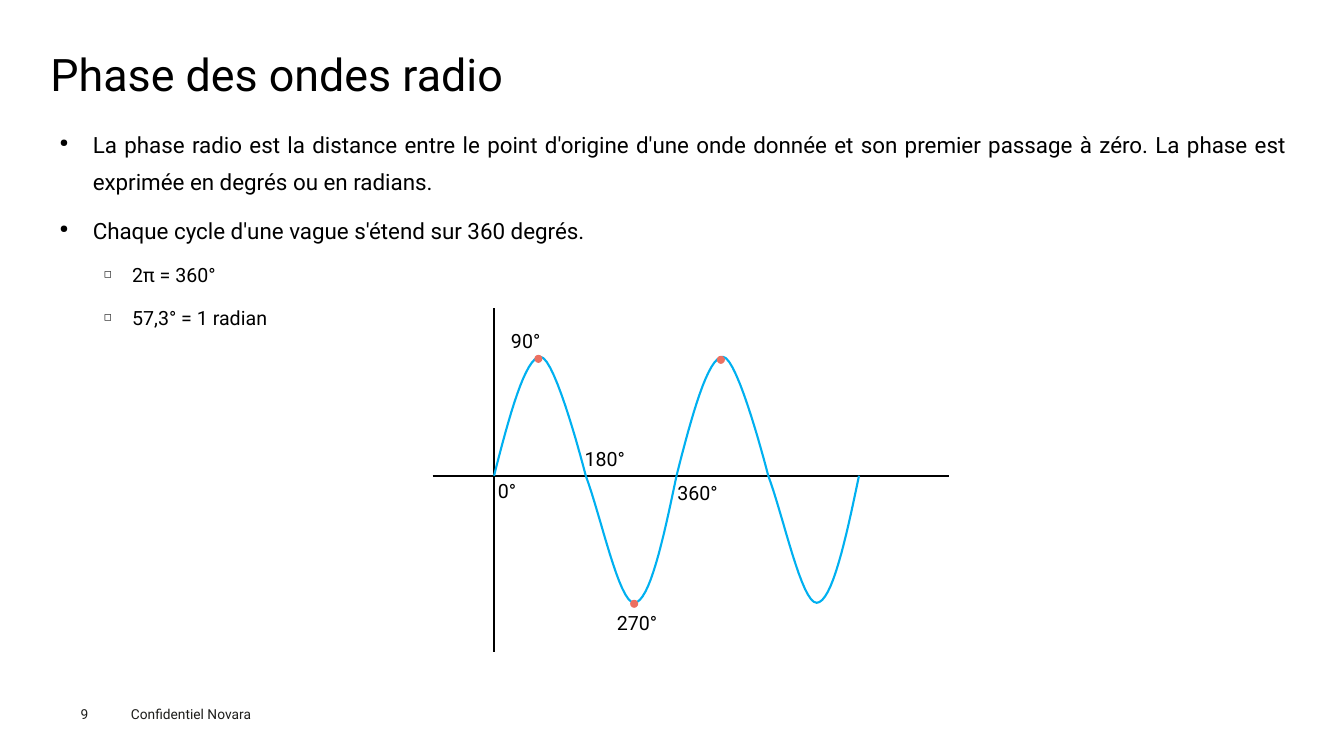
from lxml import etree
from pptx import Presentation, util as u
from pptx.dml.color import RGBColor
from pptx.enum import shapes, text
from pptx.oxml.ns import qn

WIDTH, HEIGHT = 13.33, 7.5
MARGIN = 0.5
FONT = "Roboto"
BLACK, GREY, BLUE, CORAL = "000000", "1D1D1B", "00B0F0", "EC7061"

TITLE = "Phase des ondes radio"
FOOTER = "Confidentiel Novara"
PAGE = "9"
# (level, text)
BULLETS = [
    (0, "La phase radio est la distance entre le point d'origine d'une onde donnée et son "
        "premier passage à zéro. La phase est exprimée en degrés ou en radians."),
    (0, "Chaque cycle d'une vague s'étend sur 360 degrés."),
    (1, "2π = 360°"),
    (1, "57,3° = 1 radian"),
]
# symbol, text size, left margin, hanging indent, space before, alignment
LEVELS = [
    ("●", 16, 0.33, 0.33, 7.9, text.PP_ALIGN.JUSTIFY),
    ("◻", 14, 0.72, 0.28, 7.2, text.PP_ALIGN.LEFT),
]

# The diagram is measured in inches from the crossing of its axes.
ORIGIN = (4.9, 4.72)
PERIOD = 1.81
AXES = [((-0.61, 0), (4.51, 0)), ((0, -1.66), (0, 1.75))]
# One cycle as Bezier segments: two control points and an end point each
CYCLE = [
    ((0.15, -0.59), (0.31, -1.18), (0.46, -1.18)),
    ((0.61, -1.18), (0.91, 0), (0.91, 0)),
    ((1.06, 0.4), (1.24, 1.26), (1.39, 1.26)),
    ((1.54, 1.26), (1.68, 0.63), (PERIOD, 0)),
]
STEPS = 16
DOT = 0.08
DOTS = [(0.44, -1.16), (0.44 + PERIOD, -1.15), (1.39, 1.27)]
# label, left and top of its box
LABELS = [
    ("0°", -0.06, -0.02),
    ("90°", 0.07, -1.51),
    ("180°", 0.8, -0.34),
    ("270°", 1.12, 1.29),
    ("360°", 1.72, 0),
]

presentation = Presentation()
presentation.slide_width, presentation.slide_height = u.Inches(WIDTH), u.Inches(HEIGHT)
slide = presentation.slides.add_slide(presentation.slide_layouts[6])


def color(value):
    return RGBColor.from_string(value)


def inches(*values):
    return [u.Inches(value) for value in values]


def on_diagram(x, y):
    """Slide position of a point measured from the crossing of the axes."""
    return ORIGIN[0] + x, ORIGIN[1] + y


def add_run(paragraph, words, size, ink=BLACK):
    run = paragraph.add_run()
    run.text = words
    run.font.name = FONT
    run.font.size = u.Pt(size)
    run.font.color.rgb = color(ink)


def add_frame(left, top, width, height, side=0.1, edge=0.05):
    frame = slide.shapes.add_textbox(*inches(left, top, width, height)).text_frame
    frame.word_wrap = True
    frame.margin_left = frame.margin_right = u.Inches(side)
    frame.margin_top = frame.margin_bottom = u.Inches(edge)
    return frame


def add_bullet(paragraph, symbol, margin, hanging):
    properties = paragraph._p.get_or_add_pPr()
    properties.set("marL", str(u.Inches(margin)))
    properties.set("indent", str(-u.Inches(hanging)))
    etree.SubElement(properties, qn("a:buSzPct")).set("val", "50000")
    etree.SubElement(properties, qn("a:buChar")).set("char", symbol)


def add_axis(start, end):
    axis = slide.shapes.add_connector(
        shapes.MSO_CONNECTOR.STRAIGHT, *inches(*on_diagram(*start), *on_diagram(*end)))
    axis.line.color.rgb = color(BLACK)
    axis.line.width = u.Pt(1.5)
    etree.SubElement(axis._element.spPr, qn("a:effectLst"))


def bezier(start, first, second, end):
    """Points along one segment, without its start."""
    for step in range(1, STEPS + 1):
        t = step / STEPS
        weights = ((1 - t) ** 3, 3 * t * (1 - t) ** 2, 3 * t ** 2 * (1 - t), t ** 3)
        yield tuple(sum(weight * point[axis] for weight, point
                        in zip(weights, (start, first, second, end))) for axis in (0, 1))


def add_cycle(shift):
    points = [(0, 0)]
    for segment in CYCLE:
        points.extend(bezier(points[-1], *segment))
    places = [inches(*on_diagram(x + shift, y)) for x, y in points]
    builder = slide.shapes.build_freeform(*places[0])
    builder.add_line_segments(places[1:], close=False)
    wave = builder.convert_to_shape()
    wave.shadow.inherit = False
    wave.fill.background()
    wave.line.color.rgb = color(BLUE)
    wave.line.width = u.Pt(1.5)


def add_dot(x, y):
    left, top = on_diagram(x - DOT / 2, y - DOT / 2)
    dot = slide.shapes.add_shape(shapes.MSO_SHAPE.OVAL, *inches(left, top, DOT, DOT))
    dot.shadow.inherit = False
    dot.fill.solid()
    dot.fill.fore_color.rgb = color(CORAL)
    dot.line.fill.background()


add_run(add_frame(1.2, 6.95, 1.6, 0.27).paragraphs[0], FOOTER, 9.8, GREY)
add_run(add_frame(0.8, 7, 0.55, 0.16, 0, 0).paragraphs[0], PAGE, 9.8, GREY)

content_width = WIDTH - 2 * MARGIN + 0.02
title = add_frame(MARGIN, 0.49, content_width, 0.54, 0, 0)
title.vertical_anchor = text.MSO_ANCHOR.MIDDLE
title.paragraphs[0].line_spacing = 0.9
add_run(title.paragraphs[0], TITLE, 32)

body = add_frame(MARGIN, 1.15, content_width, 5.33, 0.09, 0.04)
for index, (level, words) in enumerate(BULLETS):
    symbol, size, margin, hanging, before, alignment = LEVELS[level]
    paragraph = body.add_paragraph() if index else body.paragraphs[0]
    add_bullet(paragraph, symbol, margin, hanging)
    paragraph.level = level
    paragraph.alignment = alignment
    paragraph.line_spacing = 1.4
    paragraph.space_before = u.Pt(before if index else 0)
    add_run(paragraph, words, size)

for start, end in AXES:
    add_axis(start, end)
for cycle in range(2):
    add_cycle(cycle * PERIOD)
for x, y in DOTS:
    add_dot(x, y)
for label, x, y in LABELS:
    add_run(add_frame(*on_diagram(x, y), 1.36, 0.34).paragraphs[0], label, 14)

presentation.save("out.pptx")
